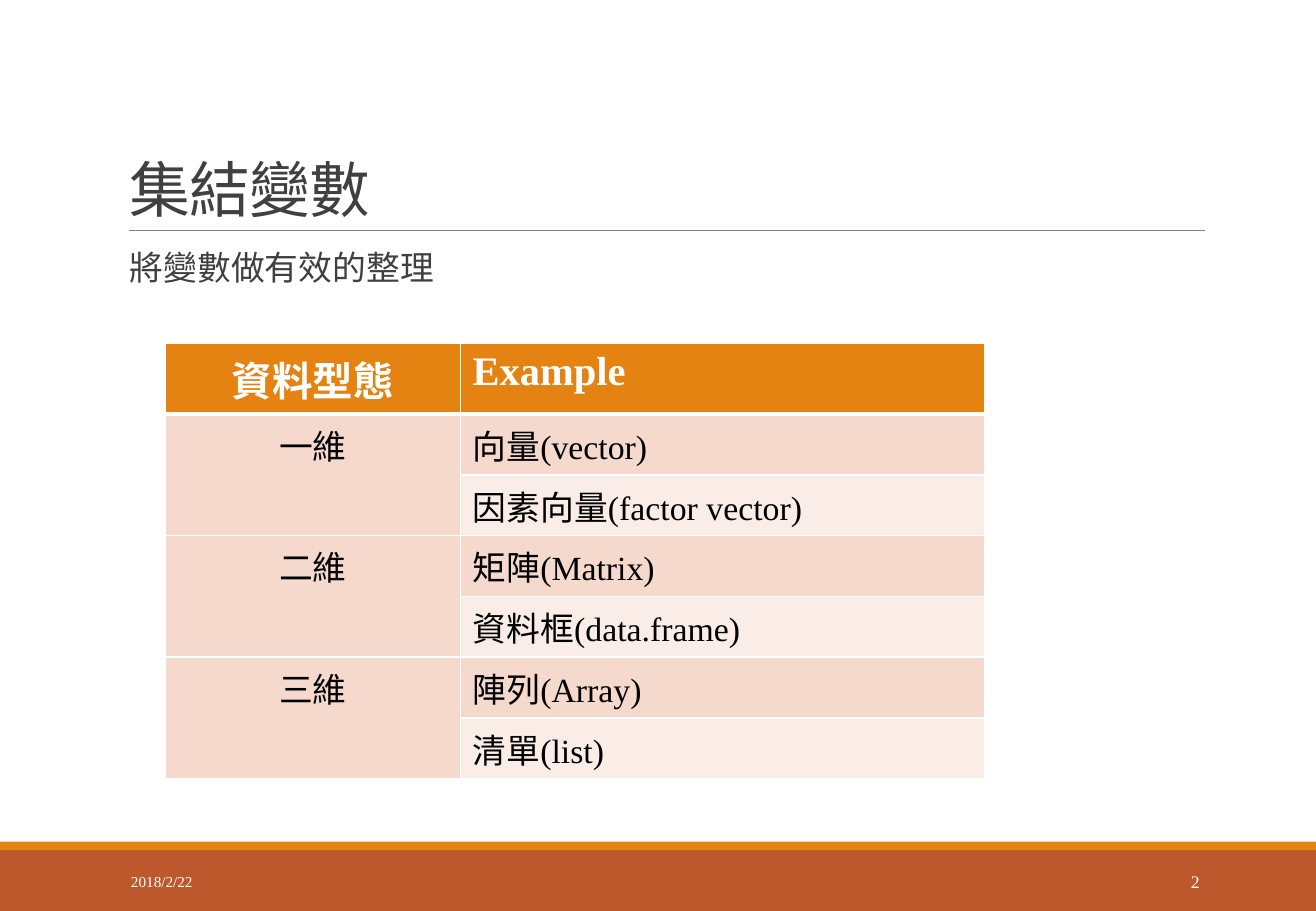
from lxml import etree
from pptx import Presentation
from pptx.dml.color import RGBColor
from pptx.enum.shapes import MSO_CONNECTOR, MSO_SHAPE
from pptx.enum.text import MSO_ANCHOR, PP_ALIGN
from pptx.oxml.ns import qn
from pptx.util import Inches, Pt

FONT = "Times New Roman"
RUST = RGBColor(0xBD, 0x58, 0x2C)
ORANGE = RGBColor(0xE4, 0x83, 0x12)
GREY = RGBColor(0x80, 0x80, 0x80)
DARK = RGBColor(0x40, 0x40, 0x40)
BLACK = RGBColor(0, 0, 0)
WHITE = RGBColor(0xFF, 0xFF, 0xFF)
PEACH = RGBColor(0xF5, 0xD9, 0xCC)
PALE = RGBColor(0xFA, 0xED, 0xE7)
RECT = MSO_SHAPE.RECTANGLE
LINE = MSO_CONNECTOR.STRAIGHT
TOP, MIDDLE, BOTTOM = MSO_ANCHOR.TOP, MSO_ANCHOR.MIDDLE, MSO_ANCHOR.BOTTOM
LEFT, CENTER, RIGHT = PP_ALIGN.LEFT, PP_ALIGN.CENTER, PP_ALIGN.RIGHT

HEADS = ("資料型態", "Example")
GROUPS = (
    ("一維", ("向量(vector)", "因素向量(factor vector)")),
    ("二維", ("矩陣(Matrix)", "資料框(data.frame)")),
    ("三維", ("陣列(Array)", "清單(list)")),
)


def write(frame, text, size, color, align=LEFT, bold=False):
    """Put one styled paragraph in a text frame and return it."""
    para = frame.paragraphs[0]
    para.text = text
    para.alignment = align
    font = para.font
    font.name, font.size, font.bold = FONT, Pt(size), bold
    font.color.rgb = color
    return para


def add_text(slide, box, text, size, color, anchor=TOP, align=LEFT):
    """Add a wrapped text box and return its paragraph."""
    frame = slide.shapes.add_textbox(*map(Inches, box)).text_frame
    frame.word_wrap = True
    frame.vertical_anchor = anchor
    return write(frame, text, size, color, align)


def add_band(slide, top, height, color):
    """Add a plain band across the slide."""
    band = slide.shapes.add_shape(
        RECT, 0, Inches(top), Inches(10.83), Inches(height))
    band.shadow.inherit = False
    band.fill.solid()
    band.fill.fore_color.rgb = color
    band.line.fill.background()


def add_rule(slide, left, right, top):
    """Add a thin grey horizontal line."""
    rule = slide.shapes.add_connector(
        LINE, Inches(left), Inches(top), Inches(right), Inches(top))
    rule.line.color.rgb = GREY
    rule.line.width = Pt(0.5)
    etree.SubElement(rule._element.spPr, qn("a:effectLst"))


def set_edges(cell, row):
    """Draw white borders, thick between the header and the body."""
    widths = {"L": 1, "R": 1, "T": 3 if row == 1 else 1,
              "B": 3 if row == 0 else 1}
    props = cell._tc.get_or_add_tcPr()
    for side, width in widths.items():
        edge = etree.SubElement(props, qn(f"a:ln{side}"), w=str(Pt(width)))
        fill = etree.SubElement(edge, qn("a:solidFill"))
        etree.SubElement(fill, qn("a:srgbClr"), val=str(WHITE))


def fill_cell(table, row, col, text, fill):
    """Style one table cell and write its text."""
    cell = table.cell(row, col)
    set_edges(cell, row)
    cell.fill.solid()
    cell.fill.fore_color.rgb = fill
    head = row == 0
    write(cell.text_frame, text, 24 if head else 20,
          WHITE if head else BLACK, LEFT if col else CENTER, head)


def add_types(slide):
    """Add the table of data types grouped by dimension."""
    table = slide.shapes.add_table(
        7, 2, Inches(1.36), Inches(2.83), Inches(6.74), Inches(3.6)).table
    table.first_row = table.horz_banding = False
    for col, width in enumerate((2.43, 4.31)):
        table.columns[col].width = Inches(width)
        fill_cell(table, 0, col, HEADS[col], ORANGE)
    for row, line in enumerate(table.rows):
        line.height = Inches(0.5 if row else 0.58)
    for group, (label, kinds) in enumerate(GROUPS):
        first = 1 + 2 * group
        for step, (kind, fill) in enumerate(zip(kinds, (PEACH, PALE))):
            fill_cell(table, first + step, 0, "" if step else label, PEACH)
            fill_cell(table, first + step, 1, kind, fill)
        table.cell(first, 0).merge(table.cell(first + 1, 0))


def main():
    """Build the slide and save it."""
    deck = Presentation()
    deck.slide_width, deck.slide_height = Inches(10.83), Inches(7.5)
    slide = deck.slides.add_slide(deck.slide_layouts[6])
    add_band(slide, 7, 0.5, RUST)
    add_band(slide, 6.93, 0.07, ORANGE)
    add_rule(slide, 1.06, 9.92, 1.9)
    title = add_text(slide, (0.97, 0.31, 8.94, 1.59), "集結變數", 36, DARK,
                     BOTTOM)
    title.line_spacing = 0.85
    title.runs[0]._r.get_or_add_rPr().set("spc", "-50")
    lead = add_text(slide, (0.97, 2.02, 8.94, 0.6), "將變數做有效的整理", 20,
                    DARK)
    lead.line_spacing = 0.9
    add_text(slide, (0.98, 7.06, 2.2, 0.4), "2018/2/22", 9, WHITE, MIDDLE)
    add_text(slide, (8.8, 7.06, 1.17, 0.4), "2", 10.5, WHITE, MIDDLE, RIGHT)
    add_types(slide)
    deck.save("out.pptx")


if __name__ == "__main__":
    main()
